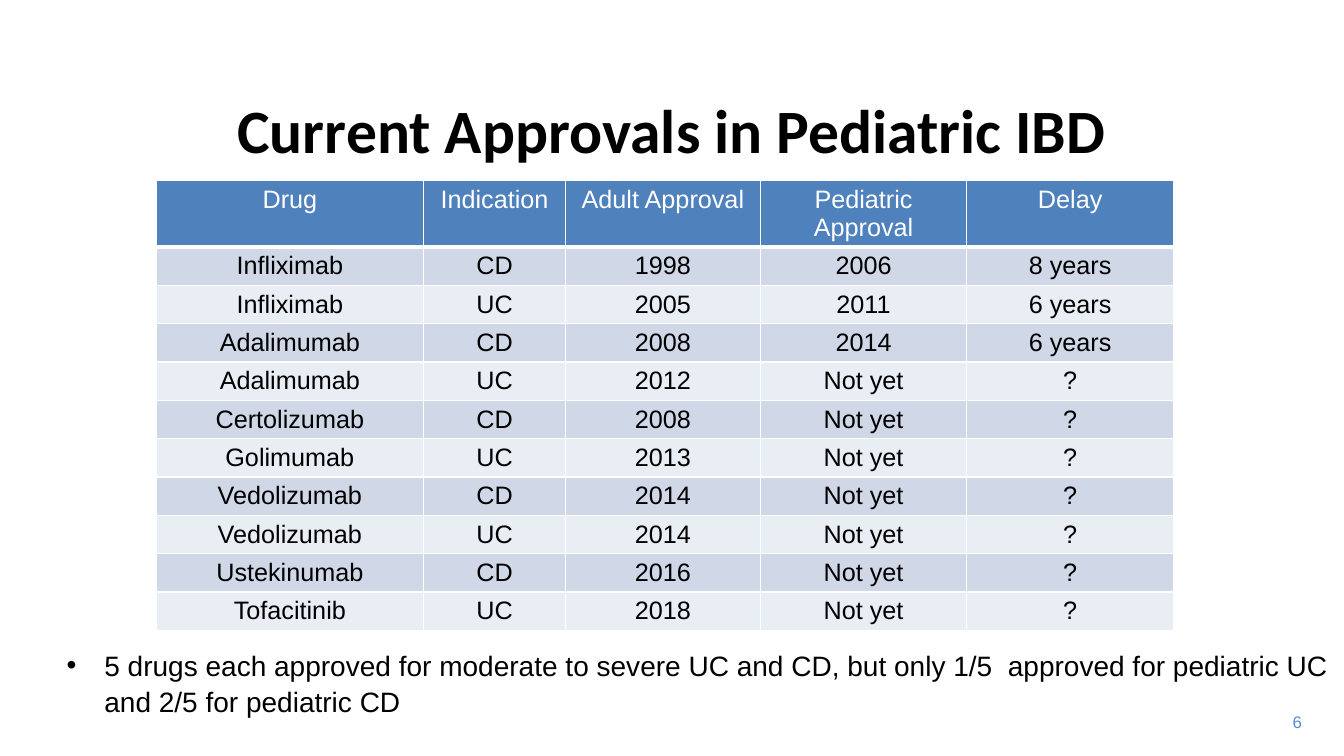
from lxml.etree import SubElement
from pptx import Presentation
from pptx.dml.color import RGBColor
from pptx.enum.text import MSO_ANCHOR, MSO_AUTO_SIZE, PP_ALIGN
from pptx.oxml.ns import qn
from pptx.util import Inches, Pt

COLORS = {
    "text": "000000",
    "white": "FFFFFF",
    "header": "4F81BD",
    "band_dark": "D0D8E8",
    "band_light": "E9EDF4",
    "page": "558ED5",
}
HEADINGS = ("Drug", "Indication", "Adult Approval", "Pediatric Approval", "Delay")
APPROVALS = [
    ("Infliximab", "CD", "1998", "2006", "8 years"),
    ("Infliximab", "UC", "2005", "2011", "6 years"),
    ("Adalimumab", "CD", "2008", "2014", "6 years"),
    ("Adalimumab", "UC", "2012", "Not yet", "?"),
    ("Certolizumab", "CD", "2008", "Not yet", "?"),
    ("Golimumab", "UC", "2013", "Not yet", "?"),
    ("Vedolizumab", "CD", "2014", "Not yet", "?"),
    ("Vedolizumab", "UC", "2014", "Not yet", "?"),
    ("Ustekinumab", "CD", "2016", "Not yet", "?"),
    ("Tofacitinib", "UC", "2018", "Not yet", "?"),
]
COLUMN_WIDTHS = (2.65, 1.41, 1.93, 2.05, 2.05)
HEADER_HEIGHT, ROW_HEIGHT = 0.65, 0.38


def color(name):
    return RGBColor.from_string(COLORS[name])


def place(shape, box):
    shape.left, shape.top, shape.width, shape.height = map(Inches, box)


def write(paragraph, words, size, ink, face="Arial", bold=False, align=None):
    paragraph.alignment = align
    run = paragraph.add_run()
    run.text = words
    run.font.name = face
    run.font.size = Pt(size)
    run.font.bold = bold
    run.font.color.rgb = color(ink)


def add_heading(slide, box):
    heading = slide.shapes.title
    place(heading, box)
    frame = heading.text_frame
    frame.auto_size = MSO_AUTO_SIZE.NONE
    frame.vertical_anchor = MSO_ANCHOR.MIDDLE
    write(frame.paragraphs[0], "Current Approvals in Pediatric IBD", 44, "text",
          "Calibri", True, PP_ALIGN.CENTER)


def set_borders(cell, bottom_width):
    properties = cell._tc.get_or_add_tcPr()
    widths = {"a:lnL": 1, "a:lnR": 1, "a:lnT": 1, "a:lnB": bottom_width}
    for position, (side, width) in enumerate(widths.items()):
        line = SubElement(properties, qn(side), w=str(Pt(width)))
        fill = SubElement(line, qn("a:solidFill"))
        SubElement(fill, qn("a:srgbClr"), val=COLORS["white"])
        properties.insert(position, line)


def add_approvals(slide, box):
    records = [HEADINGS, *APPROVALS]
    approvals = slide.shapes.add_table(len(records), len(HEADINGS), *map(Inches, box)).table
    for column, width in zip(approvals.columns, COLUMN_WIDTHS):
        column.width = Inches(width)
    for index, record in enumerate(records):
        is_header = index == 0
        approvals.rows[index].height = Inches(HEADER_HEIGHT if is_header else ROW_HEIGHT)
        band = "header" if is_header else "band_dark" if index % 2 else "band_light"
        for column, words in enumerate(record):
            cell = approvals.cell(index, column)
            cell.fill.solid()
            cell.fill.fore_color.rgb = color(band)
            set_borders(cell, 3 if is_header else 1)
            write(cell.text_frame.paragraphs[0], words, 18,
                  "white" if is_header else "text", align=PP_ALIGN.CENTER)


def add_summary(slide, box):
    summary = slide.placeholders[1]
    place(summary, box)
    frame = summary.text_frame
    frame.auto_size = MSO_AUTO_SIZE.NONE
    point = frame.paragraphs[0]
    point.space_before = Pt(0)
    point.line_spacing = 1.09
    write(point, "5 drugs each approved for moderate to severe UC and CD, but only 1/5  "
          "approved for pediatric UC and 2/5 for pediatric CD", 20, "text")


def add_page_number(slide, box):
    frame = slide.shapes.add_textbox(*map(Inches, box)).text_frame
    frame.word_wrap = True
    write(frame.paragraphs[0], "6", 12, "page", align=PP_ALIGN.RIGHT)


def main():
    deck = Presentation()
    deck.slide_width, deck.slide_height = Inches(13.33), Inches(7.5)
    slide = deck.slides.add_slide(deck.slide_layouts[1])
    table_height = HEADER_HEIGHT + ROW_HEIGHT * len(APPROVALS)
    add_heading(slide, (0.46, 0.77, 12.41, 1.01))
    add_summary(slide, (0.56, 6.35, 12.77, 0.8))
    add_approvals(slide, (1.55, 1.79, sum(COLUMN_WIDTHS), table_height))
    add_page_number(slide, (12.6, 7.01, 0.41, 0.3))
    deck.save("out.pptx")


if __name__ == "__main__":
    main()
